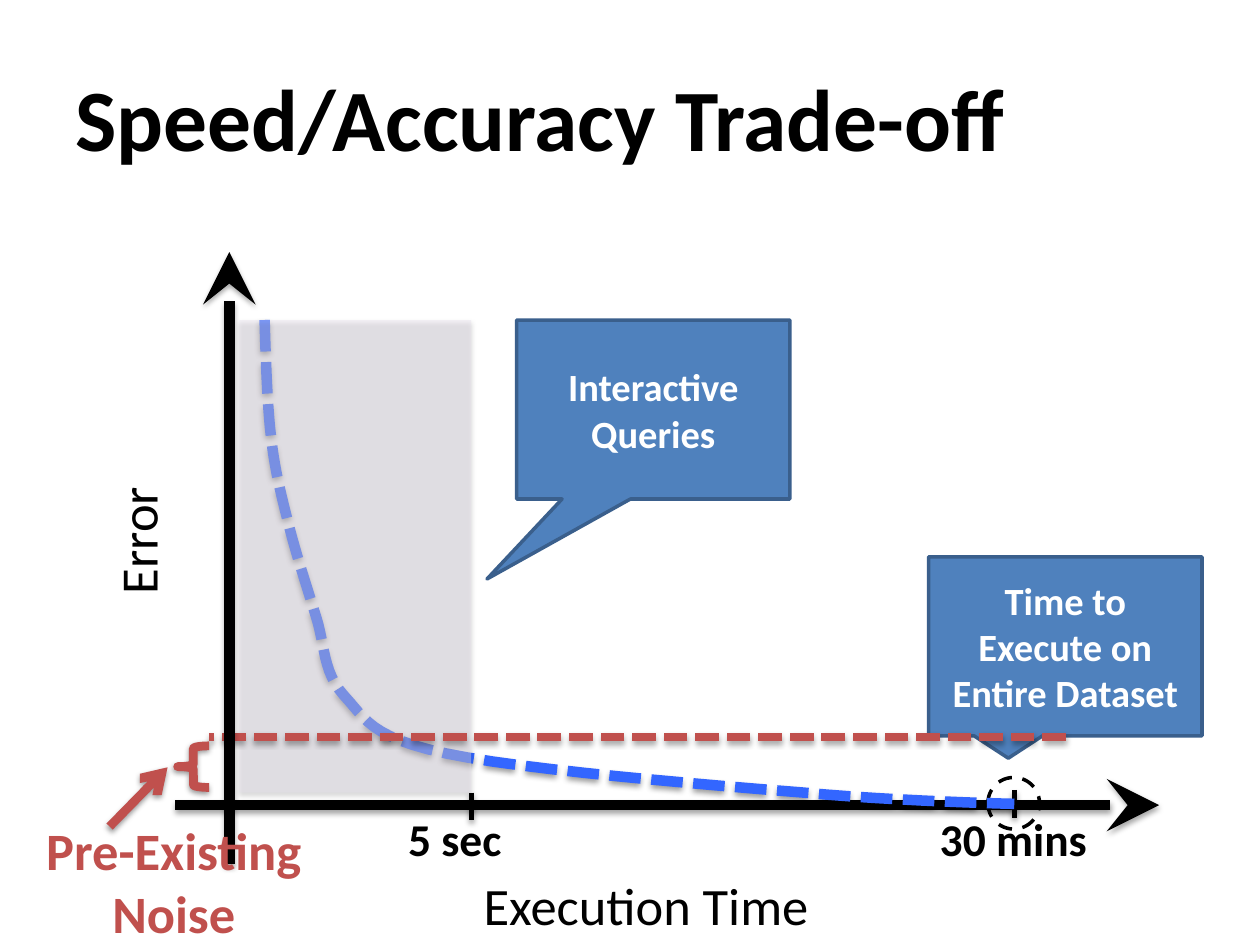
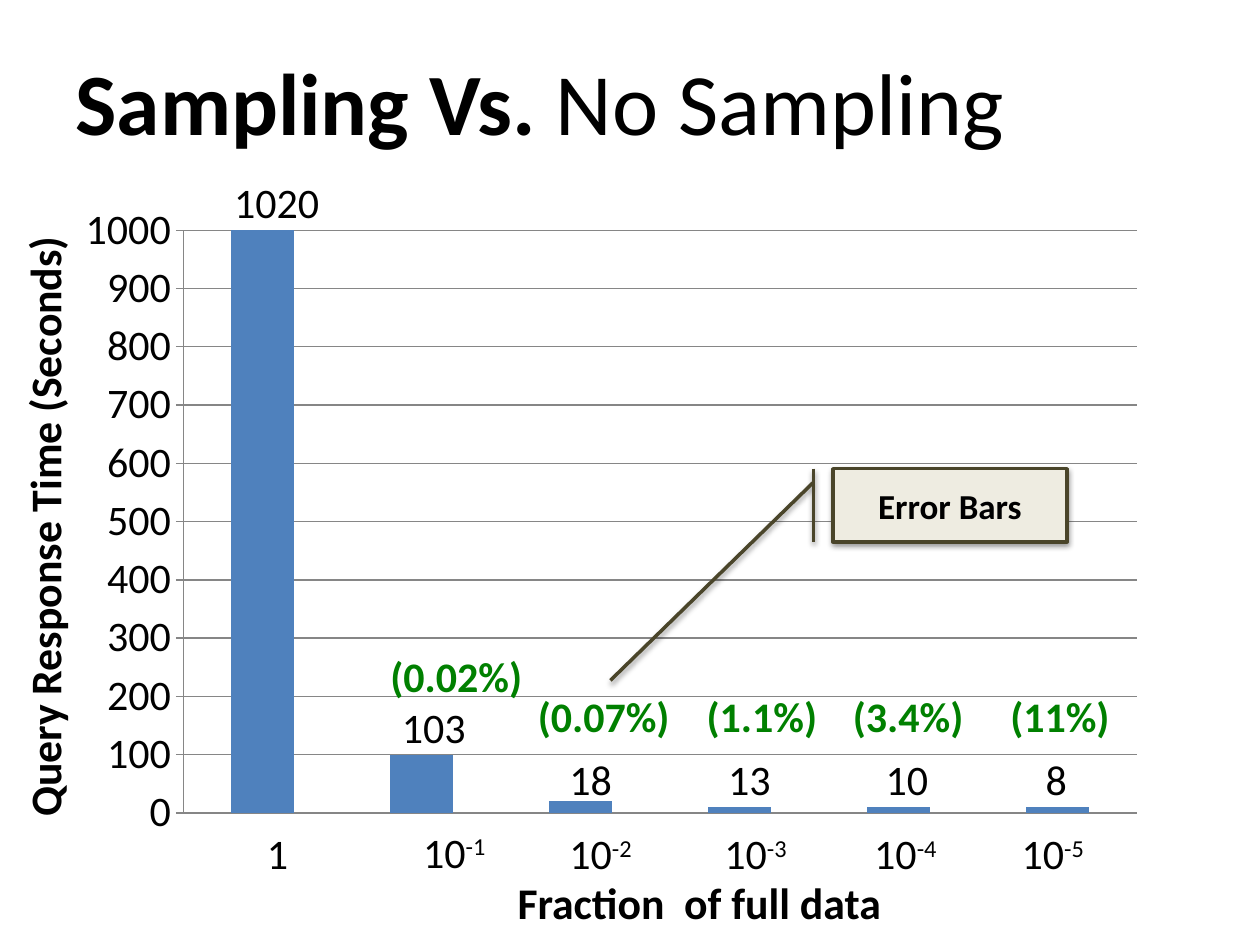
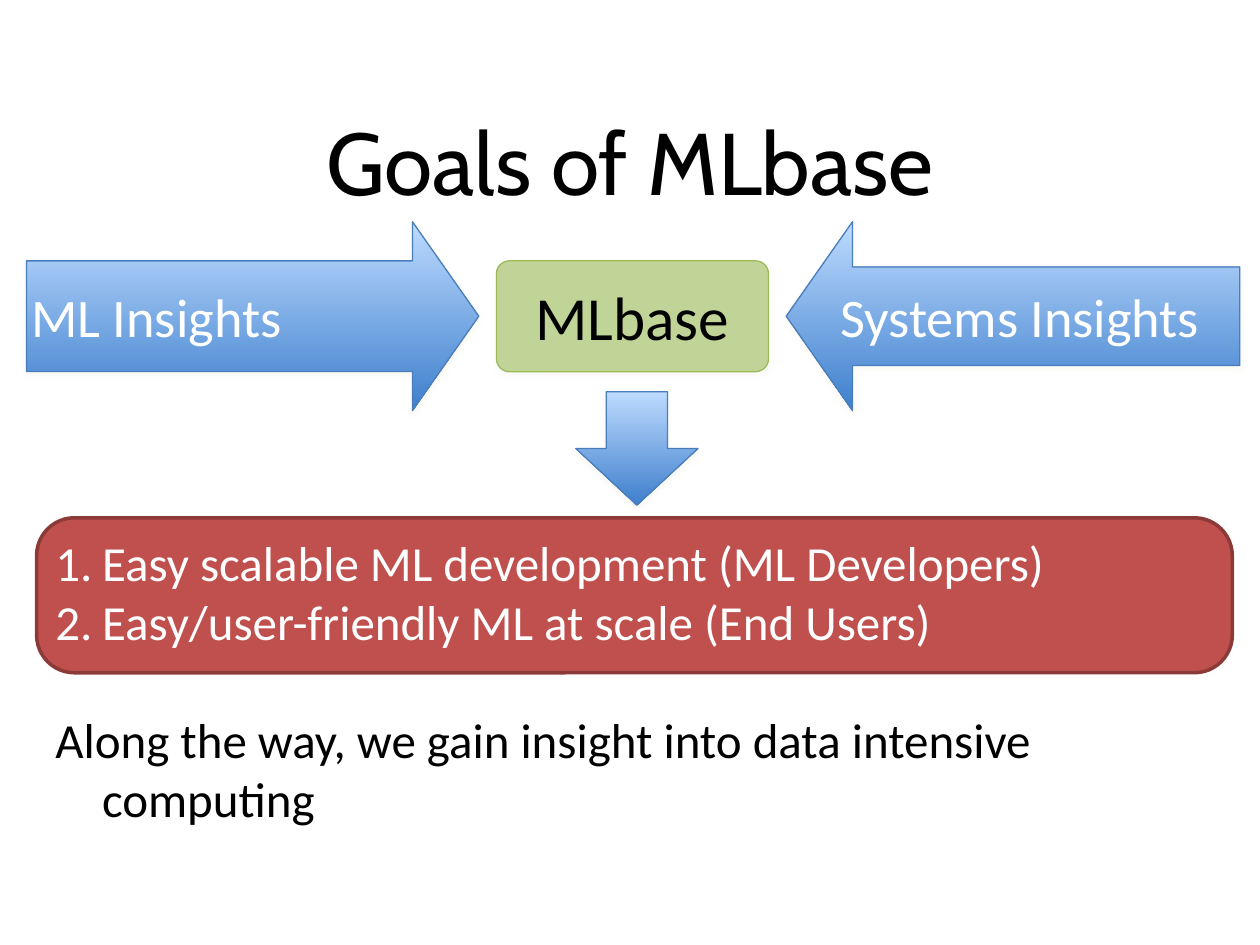
from lxml.etree import SubElement
from pptx import Presentation
from pptx.chart.data import CategoryChartData
from pptx.dml.color import RGBColor
from pptx.enum.chart import XL_CHART_TYPE as CHART, XL_TICK_MARK as TICK
from pptx.enum.dml import MSO_LINE as DASH
from pptx.enum.shapes import MSO_CONNECTOR, MSO_SHAPE as SHAPE
from pptx.enum.text import MSO_ANCHOR as ANCHOR, MSO_AUTO_SIZE as FIT, PP_ALIGN as ALIGN
from pptx.oxml.ns import qn
from pptx.util import Inches, Pt

# Shared look
BLACK, WHITE, CREAM = "000000", "FFFFFF", "EEECE1"
BLUE, RED, GREEN = "4F81BD", "C0504D", "008000"
FONT, TITLE_SIZE = "Calibri", 50
TITLE_ONLY, TITLE_BODY = 5, 1
# Shadows: colour, opacity %, blur pt, distance pt
SOFT = (BLACK, 35, 3.1, 1.8)
FIRM = (BLACK, 38, 3.1, 1.6)
PALE = (CREAM, 35, 3, 1.8)


def rgb(color):
    return RGBColor.from_string(color)


def box_of(x, y, w, h):
    return Inches(x), Inches(y), Inches(w), Inches(h)


# Text
def add_run(p, text, size=24, color=BLACK, bold=False, font=FONT, raised=False):
    r = p.add_run()
    r.text = text
    r.font.size, r.font.bold, r.font.name = Pt(size), bold, font
    r.font.color.rgb = rgb(color)
    if raised:
        r._r.get_or_add_rPr().set("baseline", "30000")


def write(tf, text, align=ALIGN.LEFT, anchor=None, inset=None, **fmt):
    """Write one paragraph for each line of text; return the last one."""
    if anchor is not None:
        tf.vertical_anchor = anchor
    if inset is not None:
        tf.margin_left = tf.margin_right = tf.margin_top = tf.margin_bottom = Inches(inset)
    for i, line in enumerate(text.split("\n")):
        p = tf.add_paragraph() if i else tf.paragraphs[0]
        p.alignment = align
        add_run(p, line, **fmt)
    return p


def label(s, box, text, wrap=False, fit=FIT.SHAPE_TO_FIT_TEXT, turn=0, **fmt):
    sp = s.shapes.add_textbox(*box_of(*box))
    sp.rotation = turn
    tf = sp.text_frame
    tf.word_wrap, tf.auto_size = wrap, fit
    return write(tf, text, **fmt)


def title(s, box, text, **fmt):
    sp = s.shapes.title
    sp.left, sp.top, sp.width, sp.height = box_of(*box)
    sp.text_frame.auto_size = FIT.NONE
    return write(sp.text_frame, text, anchor=ANCHOR.MIDDLE, size=TITLE_SIZE, **fmt)


# Shapes and lines
def add_shadow(sp, shadow):
    """Replace the theme effect with the given shadow, or with none."""
    effects = SubElement(sp.element.spPr, qn("a:effectLst"))
    if shadow:
        color, opacity, blur, dist = shadow
        outer = SubElement(effects, qn("a:outerShdw"), blurRad=str(Pt(blur)),
                           dist=str(Pt(dist)), dir="5400000", rotWithShape="0")
        clr = SubElement(outer, qn("a:srgbClr"), val=color)
        SubElement(clr, qn("a:alpha"), val=str(opacity * 1000))


def set_line(sp, color, width, dash=None):
    sp.line.color.rgb = rgb(color)
    sp.line.width = Pt(width)
    if dash:
        sp.line.dash_style = dash


def style(sp, fill=None, opacity=None, line=None, shadow=None):
    if isinstance(fill, tuple):
        sp.fill.gradient()
        sp.fill.gradient_angle = 270
        for stop, color in zip(sp.fill.gradient_stops, fill):
            stop.color.rgb = rgb(color)
    elif fill:
        sp.fill.solid()
        sp.fill.fore_color.rgb = rgb(fill)
    else:
        sp.fill.background()
    if opacity:
        clr = sp.element.spPr.find(qn("a:solidFill"))[0]
        SubElement(clr, qn("a:alpha"), val=str(opacity * 1000))
    if line:
        set_line(sp, *line)
    else:
        sp.line.fill.background()
    add_shadow(sp, shadow)
    return sp


def shape(s, kind, box, adj=(), **look):
    sp = s.shapes.add_shape(kind, *box_of(*box))
    for i, value in enumerate(adj):
        sp.adjustments[i] = value
    return style(sp, **look)


def connect(s, start, end, line, head=None, size="med", shadow=SOFT):
    ends = [Inches(v) for v in (*start, *end)]
    cx = s.shapes.add_connector(MSO_CONNECTOR.STRAIGHT, *ends)
    set_line(cx, *line)
    if head:
        ln = cx.element.spPr.find(qn("a:ln"))
        SubElement(ln, qn("a:tailEnd"), type=head, w=size, len=size)
    add_shadow(cx, shadow)


# Slide 1: error against time
CURVE_START = (0.28, -3.85)
CURVE = [  # control, control, end; measured from the axes' crossing
    ((0.29, -3.53), (0.3, -3.2), (0.33, -2.93)),
    ((0.36, -2.66), (0.41, -2.47), (0.47, -2.23)),
    ((0.53, -1.99), (0.62, -1.72), (0.69, -1.49)),
    ((0.76, -1.27), (0.74, -1.06), (0.91, -0.87)),
    ((1.08, -0.69), (1.11, -0.54), (1.72, -0.41)),
    ((2.33, -0.28), (3.8, -0.16), (4.55, -0.1)),
    ((5.3, -0.03), (6.23, -0.01), (6.23, -0.01)),
]


def curve_points(start, segments, steps=12):
    for c1, c2, end in segments:
        for i in range(1, steps + 1):
            t = i / steps
            weights = ((1 - t) ** 3, 3 * t * (1 - t) ** 2, 3 * t * t * (1 - t), t ** 3)
            yield tuple(sum(w * pt[k] for w, pt in zip(weights, (start, c1, c2, end)))
                        for k in (0, 1))
        start = end


def callout(s, box, text, adj=()):
    sp = shape(s, SHAPE.RECTANGULAR_CALLOUT, box, adj, fill=BLUE, line=("3A5F8C", 2))
    write(sp.text_frame, text, align=ALIGN.CENTER, anchor=ANCHOR.MIDDLE,
          size=22, color=WHITE, bold=True)


def error_plot(s, x, y):
    """Draw the plot around the point (x, y) where the axes cross."""
    def at(dx, dy, *size):
        return (x + dx, y + dy, *size)

    def tick(dx, top):
        connect(s, at(dx, top), at(dx, top + 0.22), (BLACK, 3))

    axis = dict(line=(BLACK, 6), head="stealth", size="lg")

    # Time axis
    shape(s, SHAPE.OVAL, at(6.02, -0.22, 0.41, 0.41), line=(BLACK, 2, DASH.DASH))
    connect(s, at(-0.43, 0), at(7.38, 0), **axis)
    label(s, at(1.92, 0.49, 2.87, 0.61), "Execution Time", size=30)
    label(s, at(-1.27, -2.42, 1.08, 0.61), "Error", turn=270, size=30)
    tick(6.23, -0.12)
    label(s, at(5.54, 0, 1.38, 0.54), "30 mins", size=26, bold=True)

    # Error curve
    pen = s.shapes.build_freeform(*[Inches(v) for v in at(*CURVE_START)])
    pen.add_line_segments([[Inches(v) for v in at(*pt)]
                           for pt in curve_points(CURVE_START, CURVE)], close=False)
    style(pen.convert_to_shape(), line=("3366FF", 6, DASH.SQUARE_DOT), shadow=FIRM)

    # Callouts and the interactive zone
    callout(s, at(5.55, -1.97, 2.17, 1.42), "Time to Execute on\nEntire Dataset")
    shape(s, SHAPE.RECTANGLE, at(0.08, -3.85, 1.84, 3.75), fill="E6E0EC",
          opacity=41, shadow=SOFT)
    callout(s, at(2.28, -3.85, 2.17, 1.42), "Interactive\nQueries", (-0.608, 0.947))
    label(s, at(1.32, 0, 0.95, 0.54), "5 sec", size=26, bold=True)

    # Noise level
    connect(s, at(6.64, -0.54), at(-0.16, -0.54), (RED, 4.5, DASH.SQUARE_DOT))
    shape(s, SHAPE.LEFT_BRACE, at(-0.41, -0.47, 0.25, 0.33), line=(RED, 5), shadow=FIRM)
    connect(s, at(-0.95, 0.17), at(-0.49, -0.3), (RED, 5), head="arrow", shadow=FIRM)
    tick(1.92, -0.1)

    # Error axis
    connect(s, at(0, 0.47), at(0, -4.39), **axis)
    label(s, at(-1.57, 0.05, 2.26, 1.11), "Pre-Existing\nNoise", align=ALIGN.CENTER,
          size=30, color=RED, bold=True)


def tradeoff_slide(prs):
    s = prs.slides.add_slide(prs.slide_layouts[TITLE_ONLY])
    title(s, (0.5, 0.3, 9.33, 1.25), "Speed/Accuracy Trade-off", bold=True)
    error_plot(s, 1.82, 6.39)


# Slide 2: response times by sample size
TIMES = [1020, 100, 20, 10, 10, 10]
# Boxes as left, top, width from the chart's corner
TIME_LABELS = [("1020", (1.25, -0.17, 0.88)), ("103", (2.58, 4, 0.71)),
               ("18", (3.91, 4.41, 0.54)), ("13", (5.17, 4.41, 0.54)),
               ("10", (6.42, 4.41, 0.54)), ("8", (7.69, 4.41, 0.37))]
FRACTION_BOXES = [(1.51, 5, 0.37), (2.75, 4.99, 0.73), (3.91, 5, 0.73),
                  (5.14, 5, 0.73), (6.33, 5, 0.73), (7.5, 5, 0.73)]
ERROR_LABELS = [("(0.02%)", (2.49, 3.59, 1.26)), ("(0.07%)", (3.66, 3.91, 1.26)),
                ("(1.1%)", (5, 3.91, 1.09)), ("(3.4%)", (6.16, 3.91, 1.09)),
                ("(11%)", (7.41, 3.91, 1))]


def column_chart(s, box):
    data = CategoryChartData()
    data.categories = [str(i + 1) for i in range(len(TIMES))]
    data.add_series("Series 1", TIMES)
    chart = s.shapes.add_chart(CHART.COLUMN_STACKED, *box_of(*box), data).chart
    chart.has_legend = chart.has_title = False
    chart.font.name, chart.font.size = FONT, Pt(10)
    chart.font.color.rgb = rgb(BLACK)

    plot = chart.plots[0]
    plot.gap_width, plot.overlap, plot.vary_by_categories = 150, 100, False
    fill = plot.series[0].format.fill
    fill.solid()
    fill.fore_color.rgb = rgb(BLUE)

    chart.category_axis.visible = False
    axis = chart.value_axis
    axis.minimum_scale, axis.maximum_scale, axis.major_unit = 0, 1000, 100
    axis.major_tick_mark = TICK.OUTSIDE
    axis.tick_labels.font.size, axis.tick_labels.font.name = Pt(24), FONT
    axis.has_major_gridlines = True
    for ln in (axis.format.line, axis.major_gridlines.format.line):
        ln.color.rgb = rgb("868686")
        ln.width = Pt(0.75)

    # Fixed inner plot area
    area = chart.element.find(".//" + qn("c:plotArea"))
    for old in area.findall(qn("c:layout")):
        area.remove(old)
    layout = SubElement(area, qn("c:layout"))
    area.insert(0, layout)
    manual = SubElement(layout, qn("c:manualLayout"))
    for tag, val in (("layoutTarget", "inner"), ("xMode", "edge"), ("yMode", "edge"),
                     ("x", "0.1087"), ("y", "0.0587"), ("w", "0.871"), ("h", "0.881")):
        SubElement(manual, qn("c:" + tag), val=val)


def chart_labels(s, x, y):
    def at(dx, dy, w, h=0.5):
        return (x + dx, y + dy, w, h)

    for i, box in enumerate(FRACTION_BOXES):
        p = label(s, at(*box), "10" if i else "1")
        if i:
            add_run(p, f"-{i}", raised=True)
    label(s, at(3.06, 5.38, 3.96, 0.52), "Fraction  of full data", wrap=True,
          align=ALIGN.CENTER, size=25, bold=True)
    label(s, at(-2.59, 2.37, 4.86, 0.52), "Query Response Time (Seconds)",
          turn=270, size=25, bold=True)
    for text, box in TIME_LABELS:
        label(s, at(*box), text)
    for text, box in ERROR_LABELS:
        label(s, at(*box), text, color=GREEN, bold=True)
    sp = shape(s, SHAPE.LINE_CALLOUT_1_BORDER_AND_ACCENT_BAR, at(6.1, 2.2, 1.86, 0.58),
               (0.188, -0.083, 2.897, -0.949), fill=CREAM, line=("4A452A", 2), shadow=FIRM)
    write(sp.text_frame, "Error Bars", align=ALIGN.CENTER, anchor=ANCHOR.MIDDLE,
          size=20, bold=True)


def sampling_slide(prs):
    s = prs.slides.add_slide(prs.slide_layouts[TITLE_ONLY])
    p = title(s, (0.5, 0.17, 9, 1.25), "Sampling Vs. ", bold=True)
    add_run(p, "No Sampling", size=TITLE_SIZE)
    x, y = 0.51, 1.52
    column_chart(s, (x, y, 8.69, 5.25))
    chart_labels(s, x, y)


# Slide 3: goals
GOALS = ["Easy scalable ML development (ML Developers)",
         "Easy/user-friendly ML at scale (End Users)"]
CLOSING = "Along the way, we gain insight into data intensive computing"


def goal_list(s, x, y):
    shape(s, SHAPE.ROUNDED_RECTANGLE, (x, y, 9.49, 1.23), (0.244,), fill=RED,
          line=("8C3A38", 2))
    body = s.placeholders[1]
    body.left, body.top, body.width, body.height = box_of(x + 0.12, y + 0.06, 9.24, 2.45)
    body.element.getparent().append(body.element)  # in front of the red panel
    tf = body.text_frame
    tf.auto_size = FIT.NONE
    write(tf, "\n".join(GOALS), anchor=ANCHOR.MIDDLE, inset=0.03, size=28, color=WHITE)
    closing = tf.add_paragraph()
    add_run(closing, CLOSING, size=28)
    for p in tf.paragraphs:
        last = p.text == CLOSING
        p.space_before = Pt(34 if last else 0)
        pPr = p._p.get_or_add_pPr()
        pPr.set("marL", str(Inches(0.37)))
        pPr.set("indent", str(Inches(-0.37)))
        if last:
            SubElement(pPr, qn("a:buNone"))
        else:
            SubElement(pPr, qn("a:buAutoNum"), type="arabicPeriod")


def insight_flow(s, x, y):
    def at(dx, dy, w, h):
        return (x + dx, y + dy, w, h)

    look = dict(fill=("BDDBFE", "3E7FCD"), line=("4A7DBB", 0.75), shadow=PALE)
    words = dict(wrap=True, fit=FIT.NONE, anchor=ANCHOR.MIDDLE, inset=0.04)
    shape(s, SHAPE.RIGHT_ARROW, at(0, 0, 3.59, 1.5), (0.585, 0.351), **look)
    label(s, at(0, 0.45, 3.15, 0.59), "ML Insights", size=31, color=WHITE, **words)
    shape(s, SHAPE.LEFT_ARROW, at(6.03, 0, 3.6, 1.5), (0.521, 0.351), **look)
    label(s, at(6.42, 0.45, 3.21, 0.59), "Systems Insights", size=31, color=WHITE, **words)
    shape(s, SHAPE.DOWN_ARROW, at(4.36, 1.35, 0.97, 0.9), **look)
    shape(s, SHAPE.ROUNDED_RECTANGLE, at(3.73, 0.31, 2.16, 0.88), (0.117,), fill="9BBB59",
          opacity=60, line=("9BBB59", 0.75), shadow=(CREAM, 38, 3, 1.6))
    label(s, at(3.77, 0.42, 2.08, 0.65), "MLbase", size=35, align=ALIGN.CENTER, **words)


def goals_slide(prs):
    s = prs.slides.add_slide(prs.slide_layouts[TITLE_BODY])
    title(s, (0.5, 0.65, 9, 1.25), "Goals of MLbase", align=ALIGN.CENTER, font="Cabin")
    goal_list(s, 0.29, 4.11)
    insight_flow(s, 0.21, 1.76)


def main():
    prs = Presentation()
    prs.slide_width, prs.slide_height = Inches(10), Inches(7.5)
    tradeoff_slide(prs)
    sampling_slide(prs)
    goals_slide(prs)
    prs.save("out.pptx")


if __name__ == "__main__":
    main()
